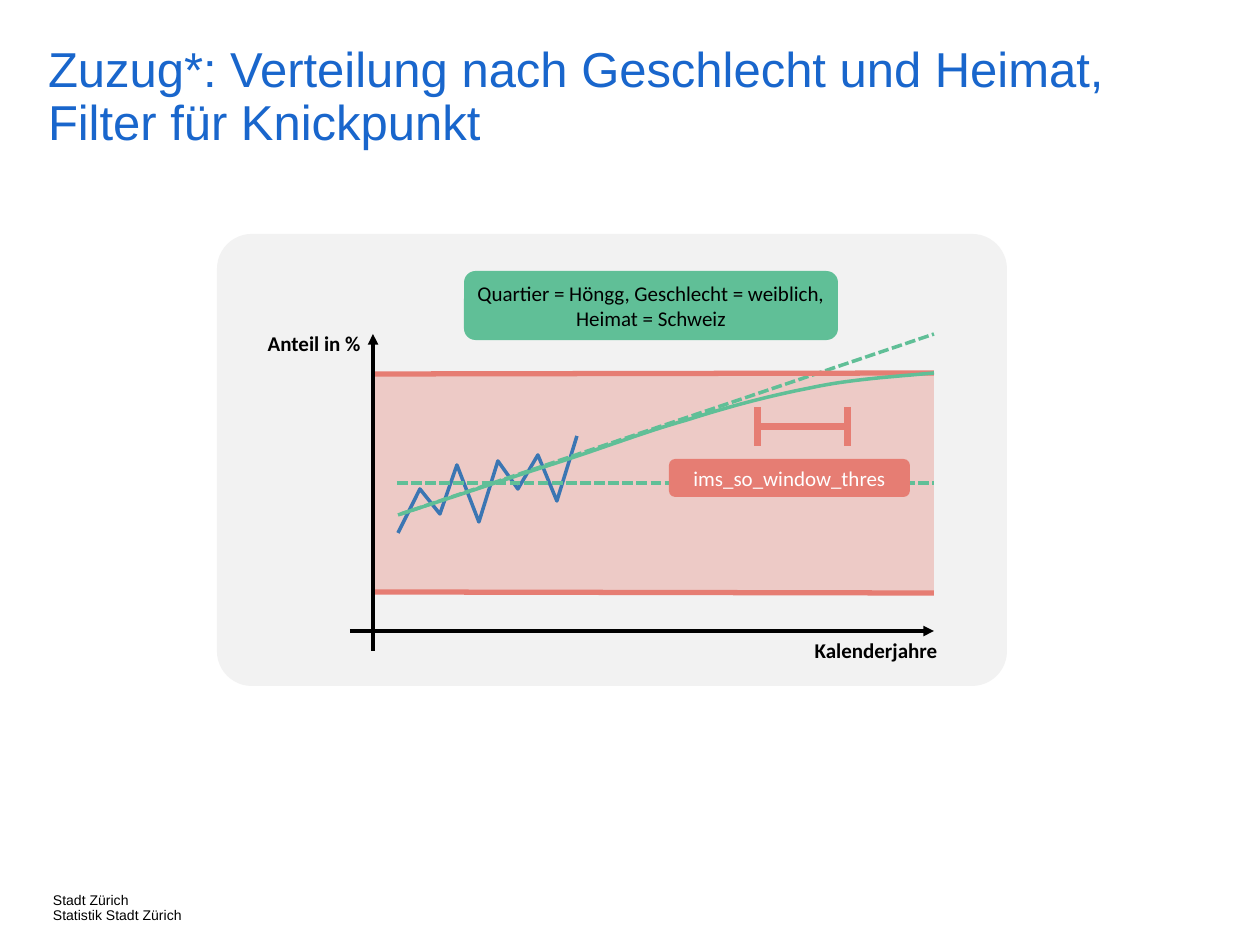
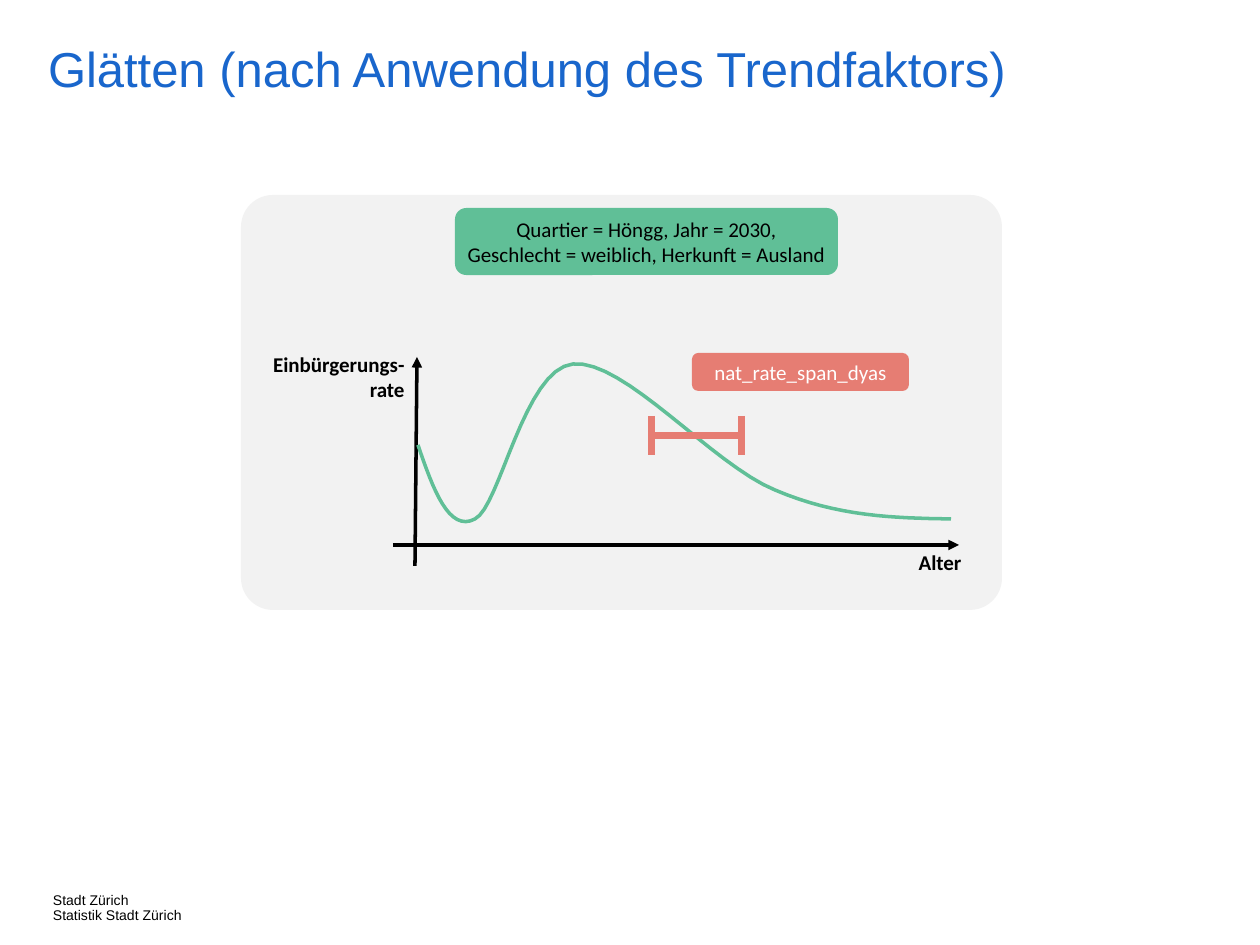
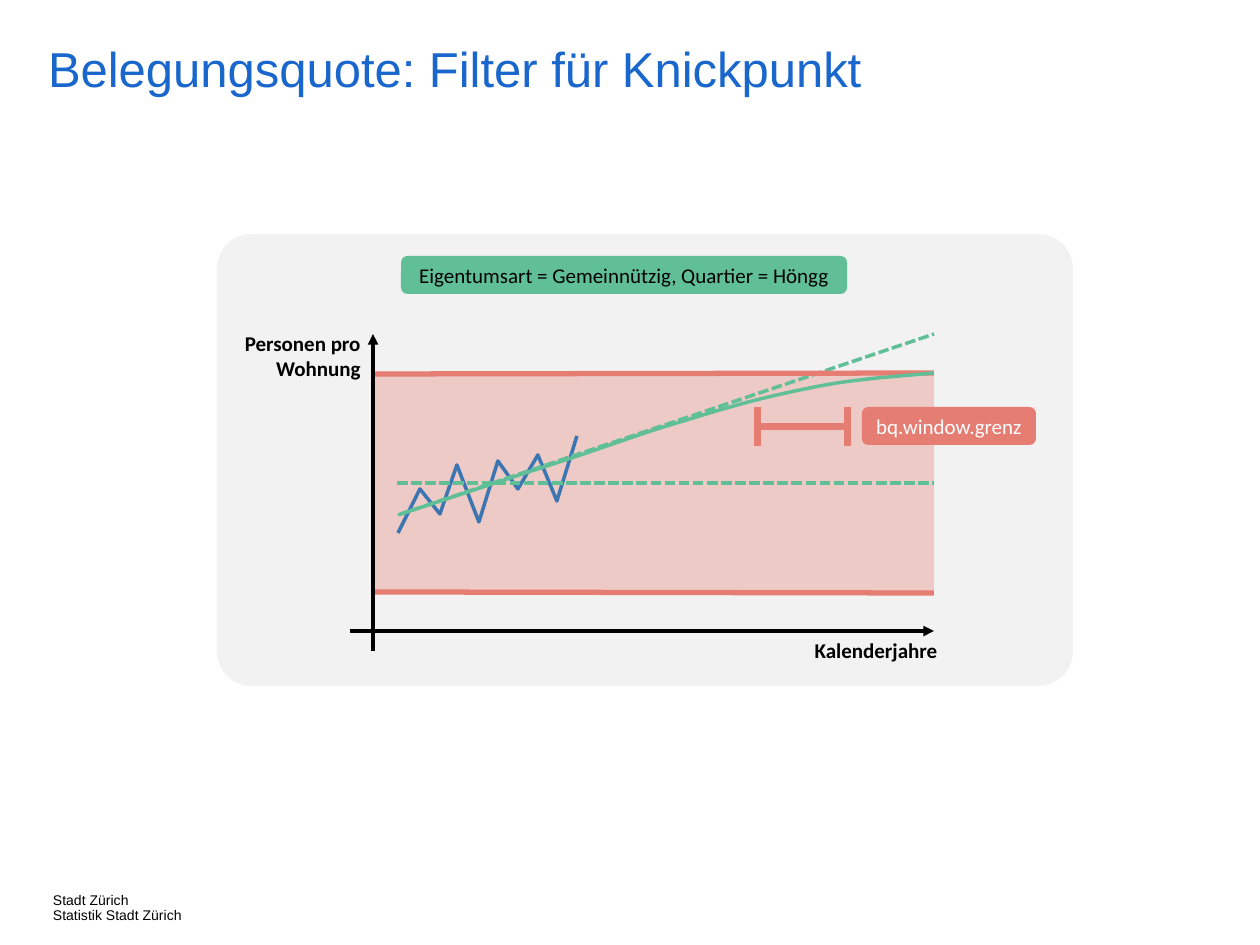
from lxml.etree import SubElement
from pptx import Presentation
from pptx.dml.color import RGBColor
from pptx.enum.dml import MSO_LINE
from pptx.enum.shapes import MSO_CONNECTOR, MSO_SHAPE
from pptx.enum.text import MSO_ANCHOR, MSO_AUTO_SIZE, PP_ALIGN
from pptx.oxml.ns import qn
from pptx.util import Pt

PX = 914400 / 126
HEX = {
    "title": "1966CC", "panel": "F2F2F2", "red": "E67D73", "green": "60BF97",
    "blue": "3B76B3", "black": "000000", "white": "FFFFFF",
}
RGB = {name: RGBColor.from_string(code) for name, code in HEX.items()}


def box(slide, rect, fill=None, text="", ink="black", align=PP_ALIGN.CENTER,
        kind=MSO_SHAPE.ROUNDED_RECTANGLE):
    """Add a filled shape, or a bold text box when there is no fill."""
    place = [round(n * PX) for n in rect]
    if fill:
        shape = slide.shapes.add_shape(kind, *place)
        shape.shadow.inherit = False
        shape.fill.solid()
        shape.fill.fore_color.rgb = RGB[fill]
        shape.line.fill.background()
    else:
        shape = slide.shapes.add_textbox(*place)
    if text:
        frame = shape.text_frame
        frame.word_wrap = True
        if fill:
            frame.margin_left = frame.margin_right = 0
            frame.margin_top = frame.margin_bottom = 0
            frame.vertical_anchor = MSO_ANCHOR.MIDDLE
        para = frame.paragraphs[0]
        para.alignment = align
        for i, part in enumerate(text.split("\n")):
            if i:
                para.add_line_break()
            run = para.add_run()
            run.text = part
            run.font.name, run.font.size = "Calibri", Pt(12)
            run.font.bold = not fill
            run.font.color.rgb = RGB[ink]
    return shape


def draw(slide, pts, ink, width=2, dash=False, arrow=False):
    """Draw a connector through two points, or an open outline through more."""
    pts = [(round(x * PX), round(y * PX)) for x, y in pts]
    if len(pts) == 2:
        shape = slide.shapes.add_connector(MSO_CONNECTOR.STRAIGHT, *pts[0], *pts[1])
    else:
        pen = slide.shapes.build_freeform(*pts[0], scale=1.0)
        pen.add_line_segments(pts[1:], close=False)
        shape = pen.convert_to_shape()
        shape.fill.background()
    shape.line.color.rgb = RGB[ink]
    shape.line.width = Pt(width)
    if dash:
        shape.line.dash_style = MSO_LINE.SQUARE_DOT
    if arrow:
        SubElement(shape.line._get_or_add_ln(), qn("a:tailEnd"), type="triangle")
    SubElement(shape._element.spPr, qn("a:effectLst"))


# Curves are a start point followed by three points per cubic segment
RISE = [(401, 514), (450, 498), (498, 482), (547, 466),
        (595, 451), (644, 432), (687, 420),
        (731, 406), (769, 396), (810, 388),
        (852, 379), (892, 377), (934, 373)]
WAVE = [(418, 445), (433, 489), (449, 533), (475, 519),
        (500, 507), (524, 369), (573, 364),
        (624, 359), (713, 465), (775, 490),
        (838, 517), (895, 518), (951, 519)]
ZIGZAG = [(398, 533), (420, 489), (440, 514), (457, 465), (479, 522),
          (498, 461), (518, 489), (538, 455), (557, 501), (577, 436)]

TREND = {
    "trend": True, "curve": RISE, "span": (758, 427),
    "x axis": [(350, 631), (934, 631)], "y axis": [(373, 651), (373, 334)],
    "x name": ((798, 631, 156, 38), "Kalenderjahre"),
}
PAGES = [
    TREND | {
        "title": "Zuzug*: Verteilung nach Geschlecht und Heimat, Filter für Knickpunkt",
        "wide": 1168, "panel": (217, 234, 790, 452),
        "y name": ((217, 324, 156, 38), "Anteil in %"),
        "case": ((464, 271, 374, 69),
                 "Quartier = Höngg, Geschlecht = weiblich, Heimat = Schweiz"),
        "param": ((669, 459, 241, 38), "ims_so_window_thres"),
    },
    {
        "title": "Glätten (nach Anwendung des Trendfaktors)",
        "wide": 1058, "panel": (241, 195, 761, 415),
        "trend": False, "curve": WAVE, "span": (652, 436),
        "x axis": [(393, 545), (959, 545)], "y axis": [(415, 566), (417, 357)],
        "x name": ((862, 543, 156, 38), "Alter"),
        "y name": ((241, 345, 176, 63), "Einbürgerungs-rate"),
        "case": ((455, 208, 383, 67),
                 "Quartier = Höngg, Jahr = 2030,\n"
                 "Geschlecht = weiblich, Herkunft = Ausland"),
        "param": ((692, 353, 217, 38), "nat_rate_span_dyas"),
    },
    TREND | {
        "title": "Belegungsquote: Filter für Knickpunkt",
        "wide": 1058, "panel": (217, 234, 856, 452),
        "y name": ((217, 324, 156, 63), "Personen pro Wohnung"),
        "case": ((401, 256, 446, 38), "Eigentumsart = Gemeinnützig, Quartier = Höngg"),
        "param": ((862, 407, 174, 38), "bq.window.grenz"),
    },
]

deck = Presentation()
deck.slide_width, deck.slide_height = round(1260 * PX), round(945 * PX)

for page in PAGES:
    slide = deck.slides.add_slide(deck.slide_layouts[5])

    # Title and footer
    title = slide.shapes.title
    title.left, title.top = round(48 * PX), round(45 * PX)
    title.width, title.height = round(page["wide"] * PX), round(81 * PX)
    foot = slide.shapes.add_textbox(*[round(n * PX) for n in (53, 893, 165, 25)])
    for shape, lines, size, ink in (
        (title, [page["title"]], 28, "title"),
        (foot, ["Stadt Zürich", "Statistik Stadt Zürich"], 8, "black"),
    ):
        frame = shape.text_frame
        frame.margin_left = frame.margin_right = 0
        frame.margin_top = frame.margin_bottom = 0
        frame.vertical_anchor = MSO_ANCHOR.TOP
        frame.auto_size = MSO_AUTO_SIZE.NONE
        frame.word_wrap = shape is title
        for i, line in enumerate(lines):
            para = frame.add_paragraph() if i else frame.paragraphs[0]
            para.alignment = PP_ALIGN.LEFT
            para.line_spacing = 0.9
            run = para.add_run()
            run.text = line
            run.font.name, run.font.size = "Arial", Pt(size)
            run.font.color.rgb = RGB[ink]

    # Panel, allowed band and data
    panel = box(slide, page["panel"], "panel")
    panel.adjustments[0] = 0.077
    if page["trend"]:
        band = box(slide, (373, 373, 561, 219), "red", kind=MSO_SHAPE.RECTANGLE)
        tint = band._element.spPr.find(qn("a:solidFill")).find(qn("a:srgbClr"))
        SubElement(tint, qn("a:alpha"), val="34000")
        draw(slide, ZIGZAG, "blue")
        draw(slide, [(397, 483), (934, 483)], "green", dash=True)
        draw(slide, [(398, 515), (934, 334)], "green", dash=True)
        draw(slide, [(373, 592), (934, 593)], "red", 3)
        draw(slide, [(373, 374), (934, 373)], "red", 3)

    # Axes
    for axis in ("x axis", "y axis"):
        draw(slide, page[axis], "black", arrow=True)
    box(slide, page["x name"][0], text=page["x name"][1])
    box(slide, page["y name"][0], text=page["y name"][1], align=PP_ALIGN.RIGHT)

    # Smooth curve, sampled from its cubic segments
    curve = page["curve"]
    pts = [curve[0]]
    for i in range(0, len(curve) - 1, 3):
        for step in range(1, 17):
            t = step / 16
            mix = ((1 - t) ** 3, 3 * t * (1 - t) ** 2, 3 * t * t * (1 - t), t ** 3)
            pts.append([sum(m * p[k] for m, p in zip(mix, curve[i:i + 4]))
                        for k in (0, 1)])
    draw(slide, pts, "green")

    # Window bracket
    x, y = page["span"]
    draw(slide, [(x, y), (x + 90, y)], "red", 4)
    for end in (x, x + 90):
        draw(slide, [(end, y - 20), (end, y + 19)], "red", 4)

    box(slide, page["param"][0], "red", page["param"][1], "white")
    box(slide, page["case"][0], "green", page["case"][1])

deck.save("out.pptx")
